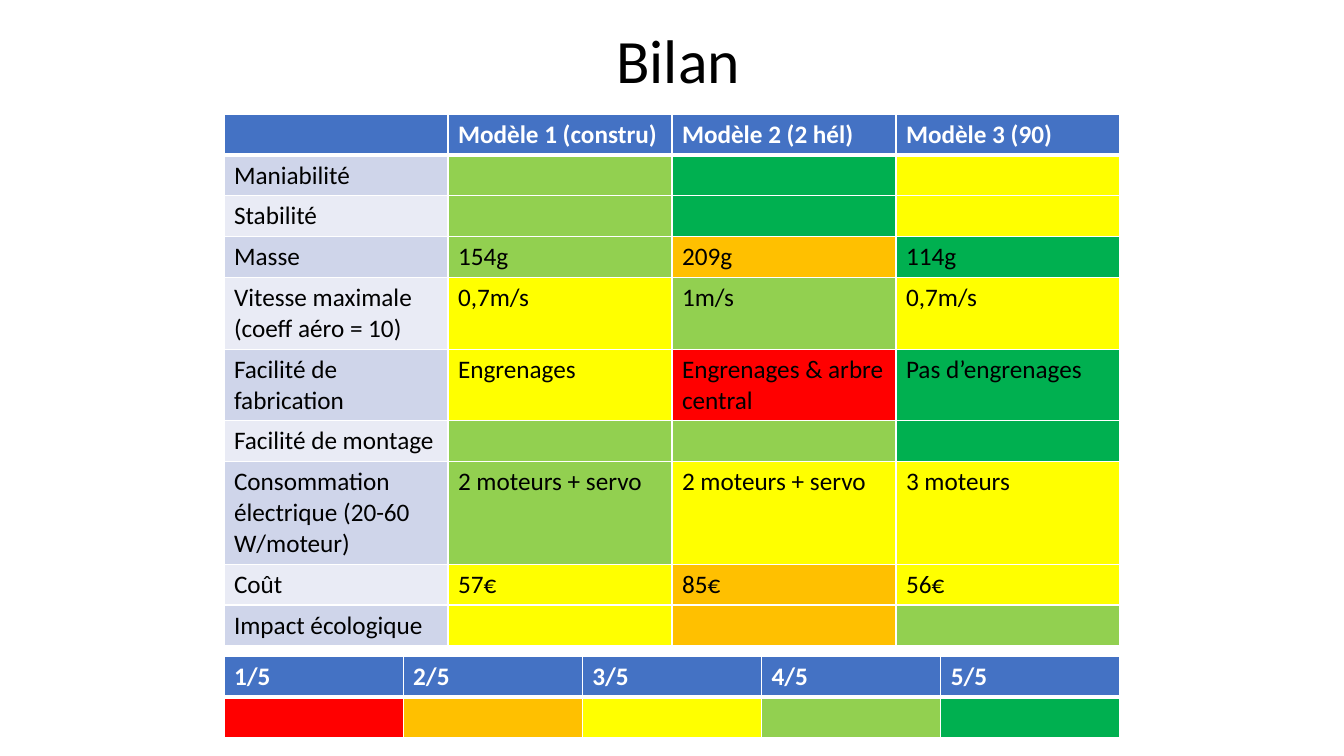
"""Build the "Bilan" slide: three models rated in a coloured table, with its scale."""
import pptx
import pptx.util
import pptx.dml.color
import pptx.enum.text
import pptx.oxml.ns
from lxml import etree

Pt = pptx.util.Pt
RGB = pptx.dml.color.RGBColor.from_string
THEME = {
    "font": "Calibri", "title": 44, "body": 18,
    "head": "4472C4", "white": "FFFFFF", "black": "000000",
    "bands": ["CFD5EA", "E9EBF5"],
    "rates": ["FF0000", "FFC000", "FFFF00", "92D050", "00B050"],
}
LEFT, WIDTH, ROW = 160, 640, 29.2


def style(para, size, color, bold=False):
    font = para.font
    font.name, font.size, font.bold = THEME["font"], Pt(size), bold
    font.color.rgb = RGB(color)


def grid(top, rows, fills):
    count = len(rows[0])
    frame = slide.shapes.add_table(
        len(rows), count, Pt(LEFT), Pt(top), Pt(WIDTH), Pt(ROW * len(rows)))
    table = frame.table
    for col in table.columns:
        col.width = Pt(WIDTH / count)
    for r, row in enumerate(rows):
        table.rows[r].height = Pt(ROW)
        for c, text in enumerate(row):
            cell = table.cell(r, c)
            cell.text = text
            color = THEME["black"] if r else THEME["white"]
            style(cell.text_frame.paragraphs[0], THEME["body"], color, r == 0)
            props = cell._tc.get_or_add_tcPr()
            for side in "LRTB":
                thick = (r, side) in [(0, "B"), (1, "T")]
                line = etree.SubElement(props, pptx.oxml.ns.qn("a:ln" + side))
                line.set("w", str(Pt(3 if thick else 1)))
                solid = etree.SubElement(line, pptx.oxml.ns.qn("a:solidFill"))
                tint = etree.SubElement(solid, pptx.oxml.ns.qn("a:srgbClr"))
                tint.set("val", THEME["white"])
            cell.fill.solid()
            cell.fill.fore_color.rgb = RGB(fills[r][c])
    return table


deck = pptx.Presentation()
deck.slide_width, deck.slide_height = Pt(960), Pt(540)
slide = deck.slides.add_slide(deck.slide_layouts[5])

title = slide.shapes.title
title.left, title.top, title.width, title.height = Pt(70.5), Pt(-7), Pt(828), Pt(104.4)
title.text = "Bilan"
title.text_frame.vertical_anchor = pptx.enum.text.MSO_ANCHOR.MIDDLE
para = title.text_frame.paragraphs[0]
para.alignment = pptx.enum.text.PP_ALIGN.CENTER
para.line_spacing = 0.9
style(para, THEME["title"], THEME["black"])

models = ["", "Modèle 1 (constru)", "Modèle 2 (2 hél)", "Modèle 3 (90)"]
marks = [
    ("Maniabilité", ["", "", ""], [4, 5, 3]),
    ("Stabilité", ["", "", ""], [4, 5, 3]),
    ("Masse", ["154g", "209g", "114g"], [4, 2, 5]),
    ("Vitesse maximale (coeff aéro = 10)", ["0,7m/s", "1m/s", "0,7m/s"], [3, 4, 3]),
    ("Facilité de fabrication",
     ["Engrenages", "Engrenages & arbre central", "Pas d’engrenages"], [3, 1, 5]),
    ("Facilité de montage", ["", "", ""], [4, 4, 5]),
    ("Consommation électrique (20-60 W/moteur)",
     ["2 moteurs + servo", "2 moteurs + servo", "3 moteurs"], [4, 3, 3]),
    ("Coût", ["57€", "85€", "56€"], [3, 2, 3]),
    ("Impact écologique", ["", "", ""], [3, 2, 4]),
]
rows, fills = [models], [[THEME["head"]] * 4]
for i, (name, texts, rates) in enumerate(marks):
    rows.append([name] + texts)
    fills.append([THEME["bands"][i % 2]] + [THEME["rates"][n - 1] for n in rates])
table = grid(81.5, rows, fills)
table.rows[7].height = Pt(36)

scale = [f"{n}/5" for n in range(1, 6)]
grid(468.8, [scale, [""] * 5], [[THEME["head"]] * 5, THEME["rates"]])

deck.save("out.pptx")
